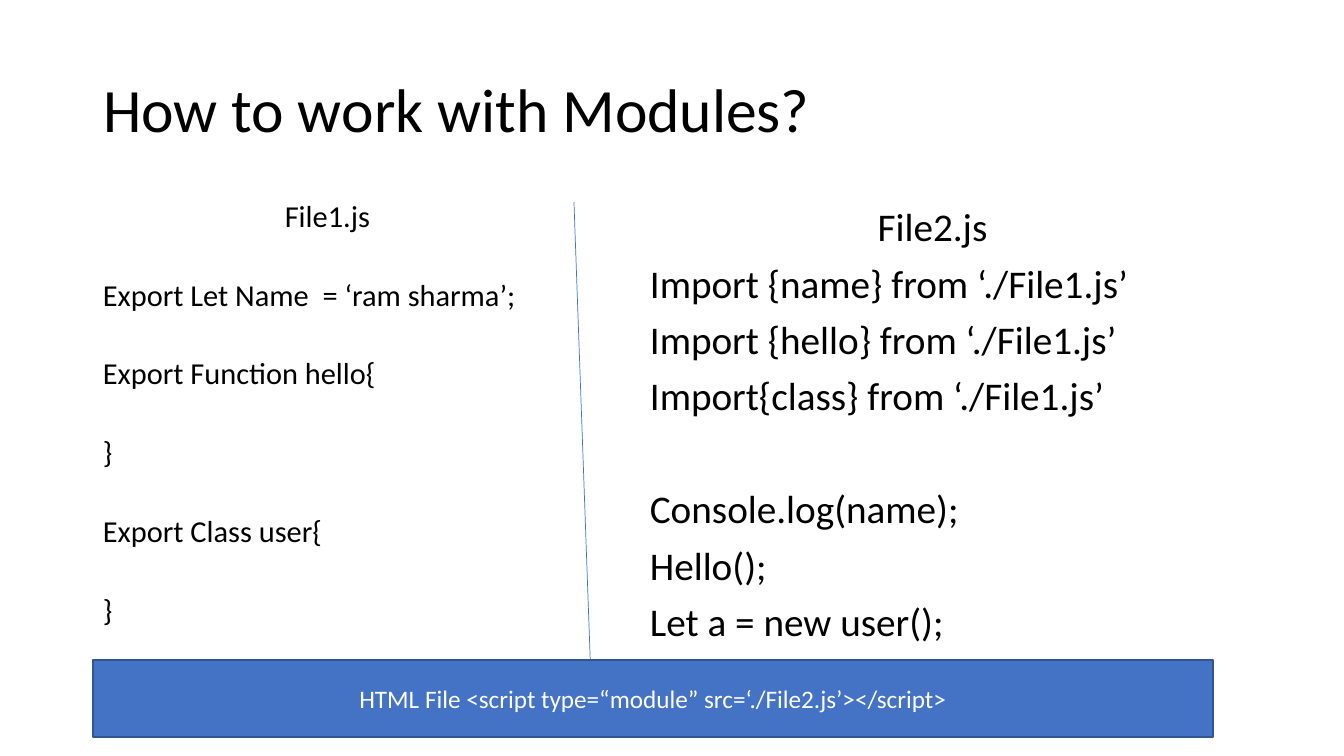
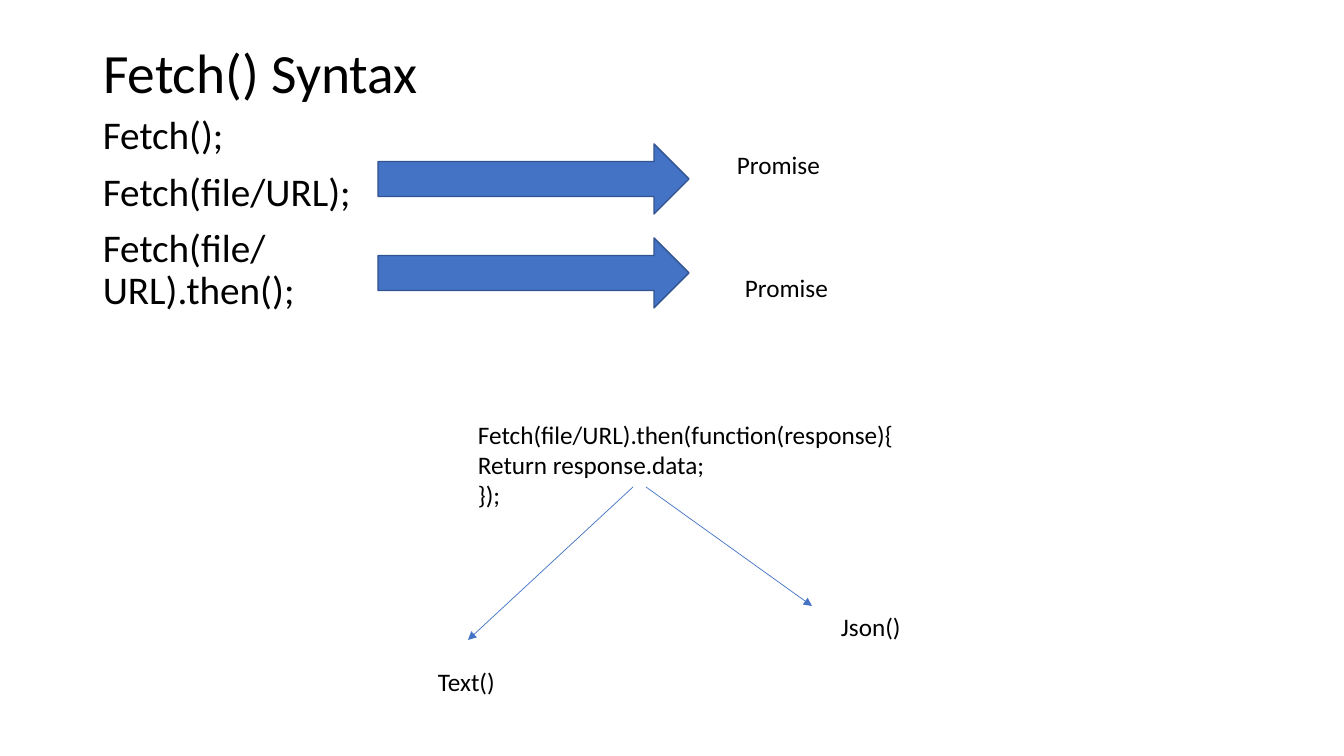
"""Build two slides on JavaScript modules and the fetch syntax."""
from dataclasses import dataclass
from typing import NamedTuple

from lxml import etree
from pptx import Presentation
from pptx import util as u
from pptx.dml.color import RGBColor
from pptx.enum import shapes, text
from pptx.oxml import ns

EMU_PER_PIXEL = 914400 / 100.8


@dataclass(frozen=True)
class Theme:
    font: str = "Calibri"
    ink: RGBColor = RGBColor(0, 0, 0)
    paper: RGBColor = RGBColor(255, 255, 255)
    accent: RGBColor = RGBColor(0x44, 0x72, 0xC4)
    outline: RGBColor = RGBColor(0x32, 0x54, 0x91)
    title: float = 44
    compact_title: float = 39.6
    body: float = 28
    code: float = 21.7
    label: float = 18
    outline_width: float = 1
    line_width: float = 0.5


THEME = Theme()


class Frame(NamedTuple):
    left: int
    top: int
    width: int
    height: int


class Line(NamedTuple):
    text: str
    before: float = 10
    centred: bool = False


class Column(NamedTuple):
    frame: Frame
    lines: list[Line]
    size: float
    spacing: float


class Label(NamedTuple):
    frame: Frame
    lines: list[str]


class Link(NamedTuple):
    start: tuple[int, int]
    end: tuple[int, int]
    arrow: bool = False


def px(pixels: int) -> u.Emu:
    return u.Emu(round(pixels * EMU_PER_PIXEL))


def style(para, size: float, color: RGBColor) -> None:
    for span in para.runs:
        span.font.name = THEME.font
        span.font.size = u.Pt(size)
        span.font.color.rgb = color


def add_page(deck, title: str, frame: Frame, size: float):
    page = deck.slides.add_slide(deck.slide_layouts[5])
    box = page.shapes.title
    box.left, box.top, box.width, box.height = map(px, frame)
    box.text_frame.text = title
    box.text_frame.auto_size = text.MSO_AUTO_SIZE.NONE
    box.text_frame.vertical_anchor = text.MSO_ANCHOR.MIDDLE
    para = box.text_frame.paragraphs[0]
    para.alignment = text.PP_ALIGN.LEFT
    para.line_spacing = 0.9
    style(para, size, THEME.ink)
    return page


def add_column(page, column: Column) -> None:
    box = page.shapes.add_textbox(*map(px, column.frame))
    box.text_frame.word_wrap = True
    box.text_frame.text = "\n".join(line.text for line in column.lines)
    for para, line in zip(box.text_frame.paragraphs, column.lines):
        para.alignment = text.PP_ALIGN.CENTER if line.centred else text.PP_ALIGN.LEFT
        para.line_spacing = column.spacing
        para.space_before = u.Pt(line.before)
        style(para, column.size, THEME.ink)


def add_label(page, label: Label) -> None:
    box = page.shapes.add_textbox(*map(px, label.frame))
    box.text_frame.word_wrap = False
    box.text_frame.auto_size = text.MSO_AUTO_SIZE.SHAPE_TO_FIT_TEXT
    box.text_frame.text = "\n".join(label.lines)
    for para in box.text_frame.paragraphs:
        style(para, THEME.label, THEME.ink)


def add_block(page, kind: shapes.MSO_SHAPE, frame: Frame, caption: str = "") -> None:
    block = page.shapes.add_shape(kind, *map(px, frame))
    block.shadow.inherit = False
    block.fill.solid()
    block.fill.fore_color.rgb = THEME.accent
    block.line.color.rgb = THEME.outline
    block.line.width = u.Pt(THEME.outline_width)
    if caption:
        block.text_frame.text = caption
        block.text_frame.vertical_anchor = text.MSO_ANCHOR.MIDDLE
        para = block.text_frame.paragraphs[0]
        para.alignment = text.PP_ALIGN.CENTER
        style(para, THEME.label, THEME.paper)


def add_link(page, link: Link) -> None:
    connector = page.shapes.add_connector(
        shapes.MSO_CONNECTOR.STRAIGHT, *map(px, link.start + link.end))
    connector.line.color.rgb = THEME.accent
    connector.line.width = u.Pt(THEME.line_width)
    properties = connector.element.spPr
    if link.arrow:
        outline = properties.find(ns.qn("a:ln"))
        etree.SubElement(outline, ns.qn("a:tailEnd"), type="triangle")
    etree.SubElement(properties, ns.qn("a:effectLst"))


def build_modules(deck) -> None:
    page = add_page(deck, "How to work with Modules?",
                    Frame(93, 40, 1159, 146), THEME.title)
    exports = ["Export Let Name  = ‘ram sharma’;", "Export Function hello{", "}",
               "Export Class user{", "}"]
    add_column(page, Column(
        Frame(93, 202, 469, 480),
        [Line("File1.js", centred=True)] + [Line(code, before=38) for code in exports],
        THEME.code, 0.7))
    add_link(page, Link((574, 202), (591, 681)))
    add_column(page, Column(
        Frame(640, 203, 585, 480),
        [Line("File2.js", centred=True),
         Line("Import {name} from ‘./File1.js’"),
         Line("Import {hello} from ‘./File1.js’"),
         Line("Import{class} from ‘./File1.js’"),
         Line("Console.log(name);", before=50.5),
         Line("Hello();"),
         Line("Let a = new user();")],
        THEME.body, 0.9))
    add_block(page, shapes.MSO_SHAPE.RECTANGLE, Frame(93, 660, 1120, 77),
              "HTML File <script type=“module” src=‘./File2.js’></script>")


def build_fetch(deck) -> None:
    page = add_page(deck, "Fetch() Syntax",
                    Frame(93, 40, 1159, 71), THEME.compact_title)
    calls = ["Fetch();", "Fetch(file/URL);", "Fetch(file/URL).then();"]
    add_column(page, Column(Frame(93, 111, 272, 571),
                            [Line(call) for call in calls], THEME.body, 0.9))
    for top in (144, 238):
        add_block(page, shapes.MSO_SHAPE.RIGHT_ARROW, Frame(378, top, 311, 70))
    for label in (
        Label(Frame(727, 144, 104, 40), ["Promise"]),
        Label(Frame(735, 267, 104, 40), ["Promise"]),
        Label(Frame(468, 414, 440, 102),
              ["Fetch(file/URL).then(function(response){", "Return response.data;", "});"]),
        Label(Frame(428, 661, 78, 40), ["Text()"]),
        Label(Frame(831, 606, 81, 40), ["Json()"]),
    ):
        add_label(page, label)
    for link in (Link((633, 487), (468, 640), arrow=True),
                 Link((646, 487), (812, 606), arrow=True)):
        add_link(page, link)


def main() -> None:
    deck = Presentation()
    deck.slide_width, deck.slide_height = px(1344), px(756)
    build_modules(deck)
    build_fetch(deck)
    deck.save("out.pptx")


main()
